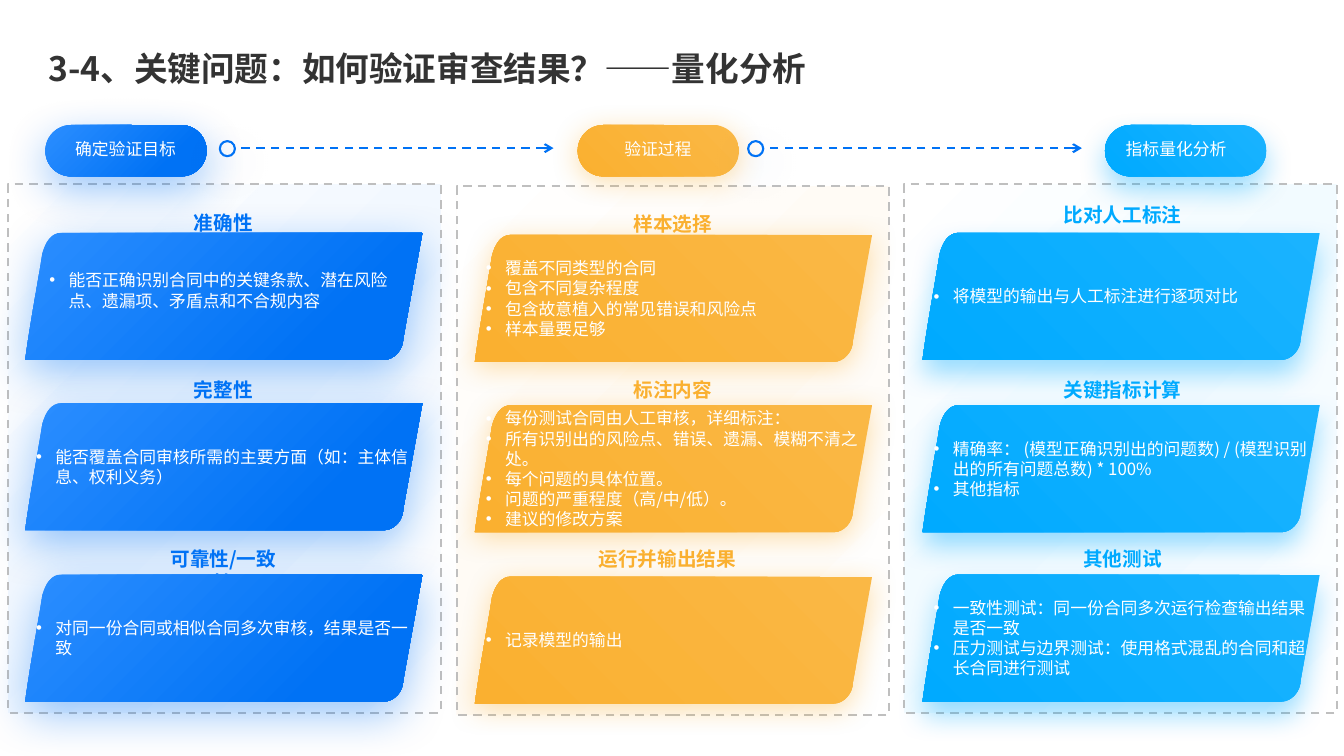
from lxml import etree
from pptx import Presentation
from pptx.dml.color import RGBColor
from pptx.enum.dml import MSO_LINE
from pptx.enum.shapes import MSO_CONNECTOR, MSO_SHAPE
from pptx.enum.text import MSO_ANCHOR, MSO_AUTO_SIZE, PP_ALIGN
from pptx.oxml.ns import qn
from pptx.util import Pt

PX = 9144  # 100 px to the inch
FONT = "Noto Sans CJK SC"
RECT, PILL, OVAL = MSO_SHAPE.RECTANGLE, MSO_SHAPE.ROUNDED_RECTANGLE, MSO_SHAPE.OVAL
DASH, LINE = MSO_LINE.DASH, MSO_CONNECTOR.STRAIGHT
LEFT, MID = PP_ALIGN.LEFT, PP_ALIGN.CENTER
CENTRE, GROW = MSO_ANCHOR.MIDDLE, MSO_AUTO_SIZE.SHAPE_TO_FIT_TEXT

WHITE = RGBColor(0xFF, 0xFF, 0xFF)
INK = RGBColor(0x33, 0x33, 0x33)
GREY = RGBColor(0xBF, 0xBF, 0xBF)
BLUE = RGBColor(0x00, 0x72, 0xF5)
BLUE_LIT = RGBColor(0x2B, 0x8E, 0xFF)
BLUE_PALE = RGBColor(0xF2, 0xF8, 0xFF)
GOLD = RGBColor(0xFA, 0xB0, 0x30)
GOLD_LIT = RGBColor(0xFA, 0xB8, 0x45)
GOLD_PALE = RGBColor(0xFF, 0xFB, 0xF5)
SKY = RGBColor(0x00, 0xAA, 0xFF)
SKY_LIT = RGBColor(0x1A, 0xB3, 0xFF)
SKY_PALE = RGBColor(0xF2, 0xFB, 0xFF)

# Gradient centres (l, t, r, b) and glows (colour, blur, distance)
TOP_LEFT, LOW_LEFT, LOW_RIGHT = (0, 0, 100, 100), (0, 100, 100, 0), (100, 100, 0, 0)
BLUE_GLOW = (BLUE, 32.4, 9.7)

# Each item: heading, heading left and width in the panel, bullet lines
COLS = [
    dict(x=8, y=183, left=17, heads=(21, 187, 355), cards=(48, 217, 387),
         tint=BLUE, pale=BLUE_PALE, glow=BLUE_GLOW, core=LOW_RIGHT,
         stops=[(23, BLUE), (100, BLUE_LIT)], pill=45, shift=9, step="确定验证目标", inset=True,
         items=[("准确性", 143, 141, ["能否正确识别合同中的关键条款、潜在风险点、遗漏项、矛盾点和不合规内容"]),
                ("完整性", 143, 141, ["能否覆盖合同审核所需的主要方面（如：主体信息、权利义务）"]),
                ("可靠性/一致性", 143, 141, ["对同一份合同或相似合同多次审核，结果是否一致"])]),
    dict(x=453, y=185, left=18, heads=(20, 185, 353), cards=(48, 217, 387),
         tint=GOLD, pale=GOLD_PALE, glow=(GOLD, 20, 4), core=LOW_LEFT,
         stops=[(0, GOLD), (100, GOLD_LIT)], pill=573, shift=9, step="验证过程", inset=False,
         items=[("样本选择", 144, 141, ["覆盖不同类型的合同", "包含不同复杂程度",
                                    "包含故意植入的常见错误和风险点", "样本量要足够"]),
                ("标注内容", 144, 141, ["每份测试合同由人工审核，详细标注：",
                                    "所有识别出的风险点、错误、遗漏、模糊不清之处。",
                                    "每个问题的具体位置。", "问题的严重程度（高/中/低）。",
                                    "建议的修改方案"]),
                ("运行并输出结果", 87, 244, ["记录模型的输出"])]),
    dict(x=897, y=183, left=18, heads=(13, 187, 355), cards=(48, 219, 387),
         tint=SKY, pale=SKY_PALE, glow=(SKY, 20, 9.7), core=LOW_LEFT,
         stops=[(0, SKY), (100, SKY_LIT)], pill=1096, shift=0, step="指标量化分析", inset=False,
         items=[("比对人工标注", 146, 141, ["将模型的输出与人工标注进行逐项对比"]),
                ("关键指标计算", 146, 141,
                 ["精确率： (模型正确识别出的问题数) / (模型识别出的所有问题总数) * 100%", "其他指标"]),
                ("其他测试", 146, 141, ["一致性测试：同一份合同多次运行检查输出结果是否一致",
                                    "压力测试与边界测试：使用格式混乱的合同和超长合同进行测试"])]),
]

# Card outline: corner points, and the handles of the bends that end at some of them
SPOTS = [(394, 0), (375, 105), (356, 126), (0, 126), (17, 21), (36, 0)]
BENDS = {2: [(375, 116), (366, 126)], 4: [(5, 89), (13, 47)], 5: [(20, 9), (26, 0)]}


# Styling helpers
def px(*nums):
    return [n * PX for n in nums]


def node(up, tag, **attrs):
    return etree.SubElement(up, qn(tag), {k: str(v) for k, v in attrs.items()})


def shade(shape, stops, core):
    shape.fill.gradient()
    grad = shape._element.spPr.find(qn("a:gradFill"))
    for kid in list(grad):
        grad.remove(kid)
    row = node(grad, "a:gsLst")
    for pos, tone in stops:
        node(node(row, "a:gs", pos=pos * 1000), "a:srgbClr", val=tone)
    ring = node(grad, "a:path", path="circle")
    node(ring, "a:fillToRect", **{k: v * 1000 for k, v in zip("ltrb", core)})


def cast(shape, glow):
    tone, blur, dist = glow
    shape.shadow.inherit = False
    fx = shape._element.spPr.find(qn("a:effectLst"))
    out = node(fx, "a:outerShdw", blurRad=Pt(blur), dist=Pt(dist), dir=5400000,
               algn="t", rotWithShape=0)
    node(node(out, "a:srgbClr", val=tone), "a:alpha", val=40000)


def write(frame, lines, size, tone, bold=False, align=MID, dots=False):
    frame.word_wrap = True
    frame.text = "\n".join(lines)
    if dots:
        frame.margin_left, frame.margin_right = px(11, 11)
    for para in frame.paragraphs:
        para.alignment = align
        if dots:
            props = para._p.get_or_add_pPr()
            props.set("marL", str(19 * PX))
            props.set("indent", str(-19 * PX))
            node(props, "a:buFont", typeface="Arial")
            node(props, "a:buChar", char="•")
        for run in para.runs:
            font = run.font
            font.size, font.bold = Pt(size), bold
            font.color.rgb = tone
            font.name = FONT
            node(run._r.get_or_add_rPr(), "a:ea", typeface=FONT)


def label(slide, box, lines, size, tone, **style):
    frame = slide.shapes.add_textbox(*px(*box)).text_frame
    write(frame, lines, size, tone, **style)
    frame.auto_size = GROW


# Slanted card with rounded corners
def bend(shape):
    sides = list(shape._element.spPr.iter(qn("a:lnTo")))
    for i, grips in BENDS.items():
        side = sides[i]
        side.tag = qn("a:cubicBezTo")
        for k, (x, y) in enumerate(grips):
            grip = node(side, "a:pt", x=x * PX, y=y * PX)
            side.insert(k, grip)


def card(slide, x, y, col, lines, inset):
    pen = slide.shapes.build_freeform(*px(36, 0), scale=1.0)
    pen.add_line_segments([px(*spot) for spot in SPOTS], close=True)
    shape = pen.convert_to_shape(*px(x, y))
    bend(shape)
    shape.line.fill.background()
    shade(shape, col["stops"], col["core"])
    cast(shape, col["glow"])
    style = dict(align=LEFT, dots=True)
    if inset:
        label(slide, (x + 13, y + 32, 364, 51), lines, 12, WHITE, **style)
    else:
        shape.text_frame.vertical_anchor = CENTRE
        write(shape.text_frame, lines, 12, WHITE, **style)


# Dashed panel with three headed cards
def panel(slide, col):
    x, y = col["x"], col["y"]
    back = slide.shapes.add_shape(RECT, *px(x, y, 429, 524))
    back.shadow.inherit = False
    shade(back, [(0, WHITE), (46, col["pale"]), (100, WHITE)], TOP_LEFT)
    back.line.color.rgb, back.line.width = GREY, Pt(1.5)
    back.line.dash_style = DASH
    for i, (head, left, wide, lines) in enumerate(col["items"]):
        box = (x + left, y + col["heads"][i], wide, 34)
        label(slide, box, [head], 14, col["tint"], bold=True)
        card(slide, x + col["left"], y + col["cards"][i], col, lines,
             col["inset"] and i == 0)


# Step pill above a panel
def pill(slide, col):
    x, y = col["pill"], 124
    shape = slide.shapes.add_shape(PILL, *px(x, y, 160, 51))
    shape.adjustments[0] = 0.5
    shape.line.fill.background()
    shade(shape, col["stops"], col["core"])
    cast(shape, col["glow"])
    label(slide, (x + col["shift"], y + 9, 141, 30), [col["step"]], 12, WHITE)


# Ring and dashed arrow between pills
def link(slide, x, y):
    line = slide.shapes.add_connector(LINE, *px(x + 331, y + 7, x + 18, y + 7))
    ring = slide.shapes.add_shape(OVAL, *px(x, y, 15, 15))
    ring.fill.background()
    for part in (line, ring):
        part.line.color.rgb, part.line.width = BLUE, Pt(1.5)
    line.line.dash_style = DASH
    node(line.line._get_or_add_ln(), "a:headEnd", type="arrow")
    node(line._element.spPr, "a:effectLst")
    cast(ring, BLUE_GLOW)


def title(slide, box, words):
    head = slide.shapes.title
    head.left, head.top, head.width, head.height = px(*box)
    frame = head.text_frame
    frame.vertical_anchor = CENTRE
    write(frame, [words], 24, INK, bold=True, align=LEFT)
    frame.paragraphs[0].line_spacing = 0.9


def main():
    deck = Presentation()
    deck.slide_width, deck.slide_height = px(1333, 750)
    slide = deck.slides.add_slide(deck.slide_layouts[5])
    title(slide, (38, 40, 1204, 60), "3-4、关键问题：如何验证审查结果？——量化分析")
    for col in COLS:
        panel(slide, col)
        pill(slide, col)
    for x in (218, 742):
        link(slide, x, 140)
    deck.save("out.pptx")


if __name__ == "__main__":
    main()
